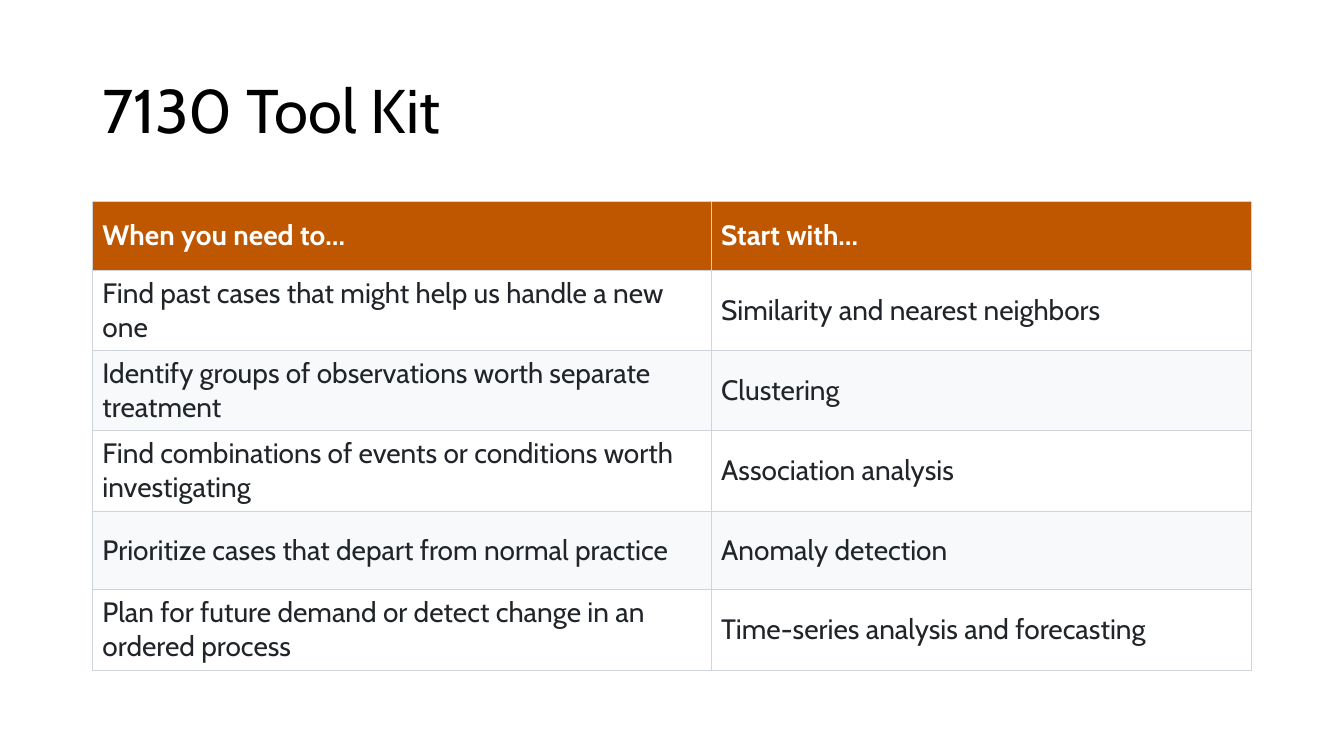
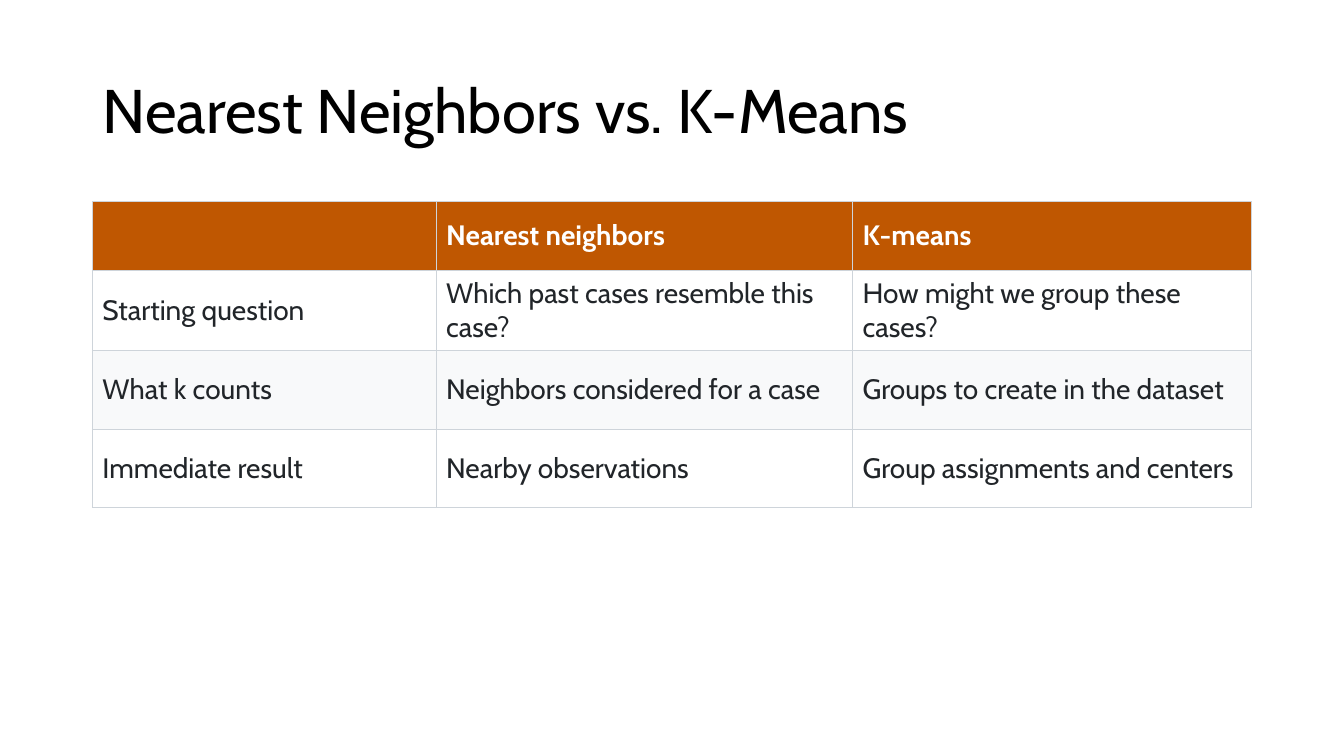
from lxml.etree import SubElement as Sub
from pptx import Presentation
from pptx.dml.color import RGBColor
from pptx.enum.text import MSO_ANCHOR as Anchor, PP_ALIGN as Align
from pptx.oxml.ns import qn
from pptx.util import Pt

# Content: title, column widths, header row, body rows
SLIDES = [
    ("7130 Tool Kit", (442, 386), ("When you need to…", "Start with…"), [
        ("Find past cases that might help us handle a new one",
         "Similarity and nearest neighbors"),
        ("Identify groups of observations worth separate treatment",
         "Clustering"),
        ("Find combinations of events or conditions worth investigating",
         "Association analysis"),
        ("Prioritize cases that depart from normal practice",
         "Anomaly detection"),
        ("Plan for future demand or detect change in an ordered process",
         "Time-series analysis and forecasting"),
    ]),
    ("Nearest Neighbors vs. K-Means", (245.5, 297.5, 285),
     ("", "Nearest neighbors", "K-means"), [
        ("Starting question", "Which past cases resemble this case?",
         "How might we group these cases?"),
        ("What k counts", "Neighbors considered for a case",
         "Groups to create in the dataset"),
        ("Immediate result", "Nearby observations",
         "Group assignments and centers"),
    ]),
]

# Shared style
FONT = "Cabin"
BLACK, WHITE, INK = "000000", "FFFFFF", "212529"
ORANGE, PALE, RULE = "BF5701", "F8F9FA", "CED4DA"
LEFT, WIDTH, TOP = 66, 828, 144
HEAD, ROW = 49, 56.2


def color(code):
    return RGBColor.from_string(code)


def write(para, text, size, ink, bold=False):
    run = para.add_run()
    run.text = text
    font = run.font
    font.name, font.size, font.bold = FONT, Pt(size), bold
    font.color.rgb = color(ink)


def add_title(slide, text):
    title = slide.shapes.title
    title.left, title.top = Pt(LEFT), Pt(28.8)
    title.width, title.height = Pt(WIDTH), Pt(104.4)
    title.text_frame.vertical_anchor = Anchor.MIDDLE
    para = title.text_frame.paragraphs[0]
    para.alignment, para.line_spacing = Align.LEFT, 0.9
    write(para, text, 44, BLACK)


def add_border(cell):
    props = cell._tc.get_or_add_tcPr()
    for side in ("lnL", "lnR", "lnT", "lnB"):
        line = Sub(props, qn("a:" + side), w=str(Pt(0.75)))
        fill = Sub(line, qn("a:solidFill"))
        Sub(fill, qn("a:srgbClr"), val=RULE)


def fill_cell(cell, text, back, ink, bold):
    add_border(cell)  # borders come before the fill in the XML
    cell.fill.solid()
    cell.fill.fore_color.rgb = color(back)
    cell.vertical_anchor = Anchor.MIDDLE
    cell.margin_left = cell.margin_right = Pt(7.2)
    cell.margin_top = cell.margin_bottom = Pt(4.3)
    if text:
        write(cell.text_frame.paragraphs[0], text, 20, ink, bold)


def add_grid(slide, widths, rows):
    high = HEAD + ROW * (len(rows) - 1)
    table = slide.shapes.add_table(
        len(rows), len(widths), Pt(LEFT), Pt(TOP), Pt(WIDTH), Pt(high)).table
    for col, width in zip(table.columns, widths):
        col.width = Pt(width)
    for r, texts in enumerate(rows):
        head = r == 0
        table.rows[r].height = Pt(HEAD if head else ROW)
        back = ORANGE if head else WHITE if r % 2 else PALE
        for c, text in enumerate(texts):
            fill_cell(table.cell(r, c), text, back,
                      WHITE if head else INK, head)


def main():
    deck = Presentation()
    deck.slide_width, deck.slide_height = Pt(960), Pt(540)
    for title, widths, head, body in SLIDES:
        slide = deck.slides.add_slide(deck.slide_layouts[5])  # title only
        add_title(slide, title)
        add_grid(slide, widths, [head] + body)
    deck.save("out.pptx")


if __name__ == "__main__":
    main()
